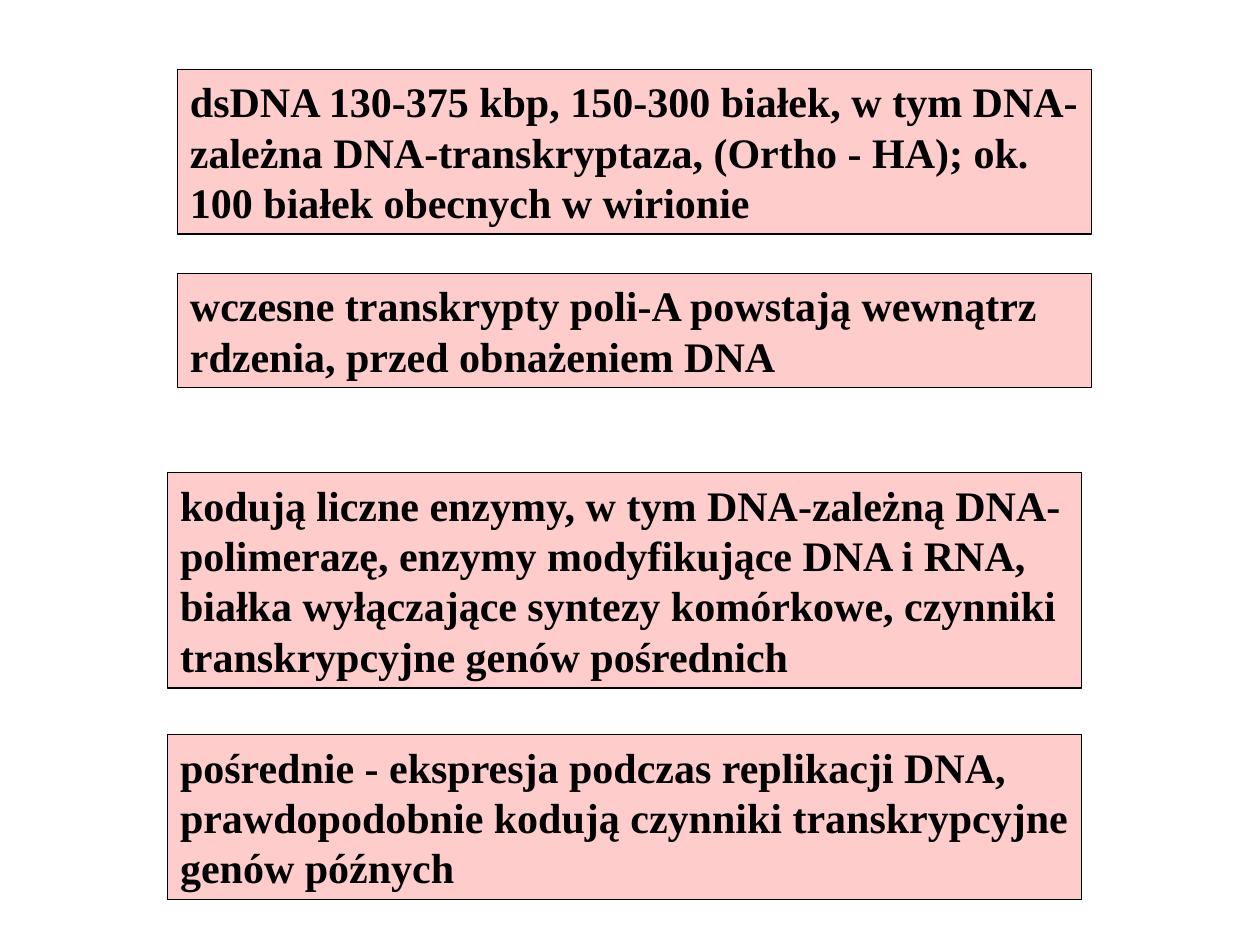
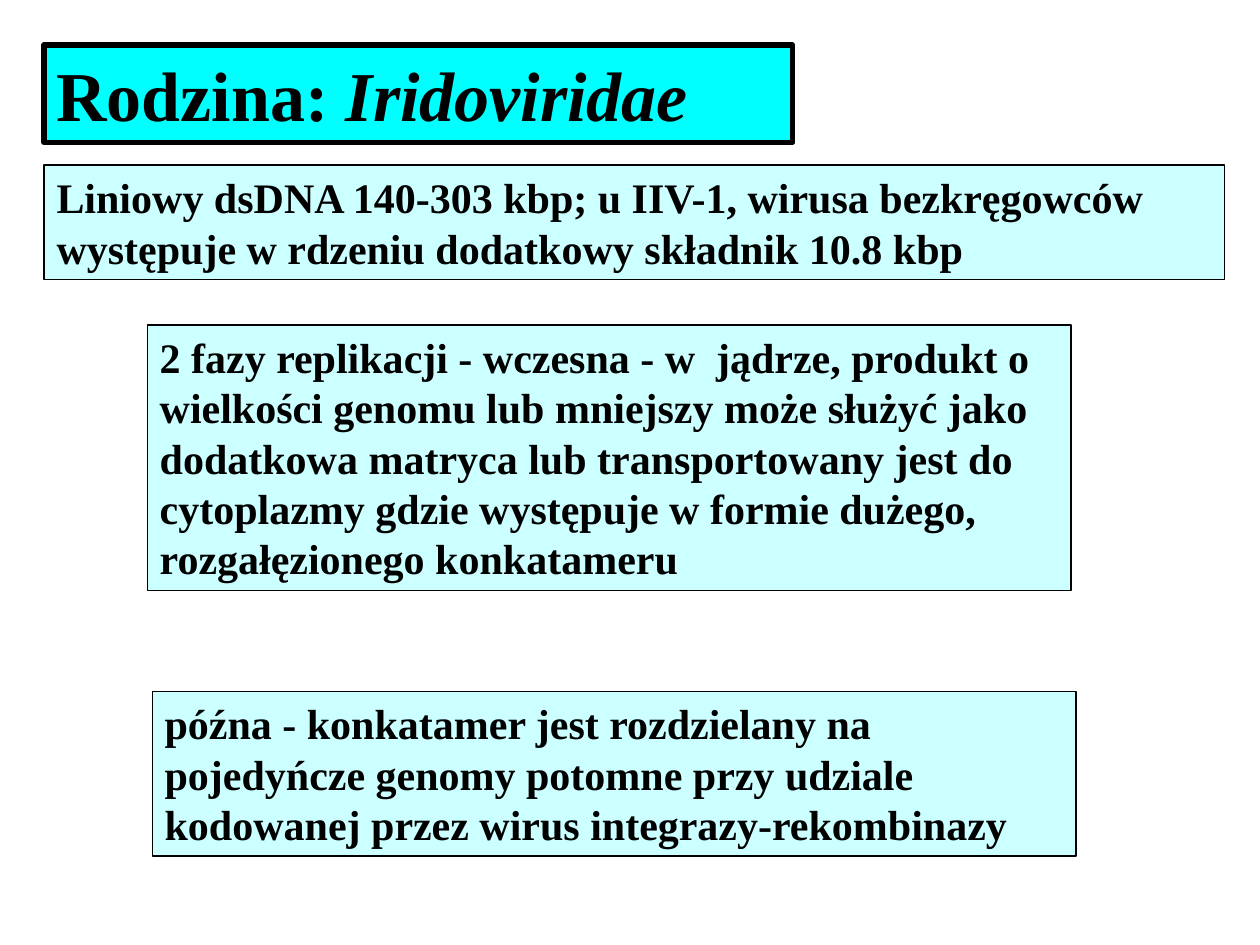
from pptx import Presentation
from pptx.dml.color import RGBColor
from pptx.enum.shapes import MSO_SHAPE
from pptx.enum.text import MSO_ANCHOR, MSO_AUTO_SIZE, PP_ALIGN
from pptx.util import Cm, Pt

BLACK = RGBColor(0x00, 0x00, 0x00)
PINK = RGBColor(0xFF, 0xCC, 0xCC)
CYAN = RGBColor(0x00, 0xFF, 0xFF)
PALE_CYAN = RGBColor(0xCC, 0xFF, 0xFF)

FONT = "Times New Roman"
INSET_X, INSET_Y = 0.25, 0.13
LINE_HEIGHT = 1.02  # one line of 24 pt text, in cm


def add_text(p, text, size=24, italic=False):
    r = p.add_run()
    r.text = text
    r.font.name = FONT
    r.font.size = Pt(size)
    r.font.bold = True
    r.font.italic = italic
    r.font.color.rgb = BLACK


class Deck:
    """Holds the shared style and the current slide."""

    def __init__(self):
        self.prs = Presentation()
        self.prs.slide_width = Cm(25.4)
        self.prs.slide_height = Cm(19.05)

    def new_slide(self, note_fill):
        self.s = self.prs.slides.add_slide(self.prs.slide_layouts[6])
        self.note_fill = note_fill

    def box(self, left, top, width, height, fill, border):
        sp = self.s.shapes.add_shape(
            MSO_SHAPE.RECTANGLE, Cm(left), Cm(top), Cm(width), Cm(height))
        sp.shadow.inherit = False
        sp.fill.solid()
        sp.fill.fore_color.rgb = fill
        sp.line.color.rgb = BLACK
        sp.line.width = Pt(border)
        tf = sp.text_frame
        tf.word_wrap = True
        tf.auto_size = MSO_AUTO_SIZE.SHAPE_TO_FIT_TEXT
        tf.vertical_anchor = MSO_ANCHOR.TOP
        tf.margin_left = tf.margin_right = Cm(INSET_X)
        tf.margin_top = tf.margin_bottom = Cm(INSET_Y)
        p = tf.paragraphs[0]
        p.alignment = PP_ALIGN.LEFT
        return p

    def family_title(self, label, family):
        p = self.box(0.89, 0.91, 15.09, 1.96, CYAN, 3)
        add_text(p, label, size=40)
        add_text(p, family, size=40, italic=True)

    def note(self, left, top, width, lines, text):
        height = lines * LINE_HEIGHT + 2 * INSET_Y
        add_text(self.box(left, top, width, height, self.note_fill, 0.75), text)


def main():
    deck = Deck()

    # Genome and gene expression phases
    deck.new_slide(PINK)
    for left, top, lines, text in [
        (3.58, 1.4, 3, "dsDNA 130-375 kbp, 150-300 białek, w tym DNA-zależna "
                       "DNA-transkryptaza, (Ortho - HA); ok. 100 białek "
                       "obecnych w wirionie"),
        (3.58, 5.51, 2, "wczesne transkrypty poli-A powstają wewnątrz rdzenia, "
                        "przed obnażeniem DNA"),
        (3.38, 9.53, 4, "kodują liczne enzymy, w tym DNA-zależną "
                        "DNA-polimerazę, enzymy modyfikujące DNA i RNA, białka "
                        "wyłączające syntezy komórkowe, czynniki "
                        "transkrypcyjne genów pośrednich"),
        (3.38, 14.81, 3, "pośrednie - ekspresja podczas replikacji DNA, "
                         "prawdopodobnie kodują czynniki transkrypcyjne genów "
                         "późnych"),
    ]:
        deck.note(left, top, 18.42, lines, text)

    # Iridoviridae: genome and two replication phases
    deck.new_slide(PALE_CYAN)
    deck.family_title("Rodzina: ", "Iridoviridae")
    deck.note(0.89, 3.33, 23.8, 2,
              "Liniowy dsDNA 140-303 kbp; u IIV-1, wirusa bezkręgowców "
              "występuje w rdzeniu dodatkowy składnik 10.8 kbp")
    deck.note(2.97, 6.55, 18.62, 5,
              "2 fazy replikacji - wczesna - w  jądrze, produkt o wielkości "
              "genomu lub mniejszy może służyć jako dodatkowa matryca lub "
              "transportowany jest do cytoplazmy gdzie występuje w formie "
              "dużego, rozgałęzionego konkatameru")
    deck.note(3.07, 13.94, 18.62, 3,
              "późna - konkatamer jest rozdzielany na pojedyńcze genomy "
              "potomne przy udziale kodowanej przez wirus "
              "integrazy-rekombinazy")

    deck.prs.save("out.pptx")


if __name__ == "__main__":
    main()
